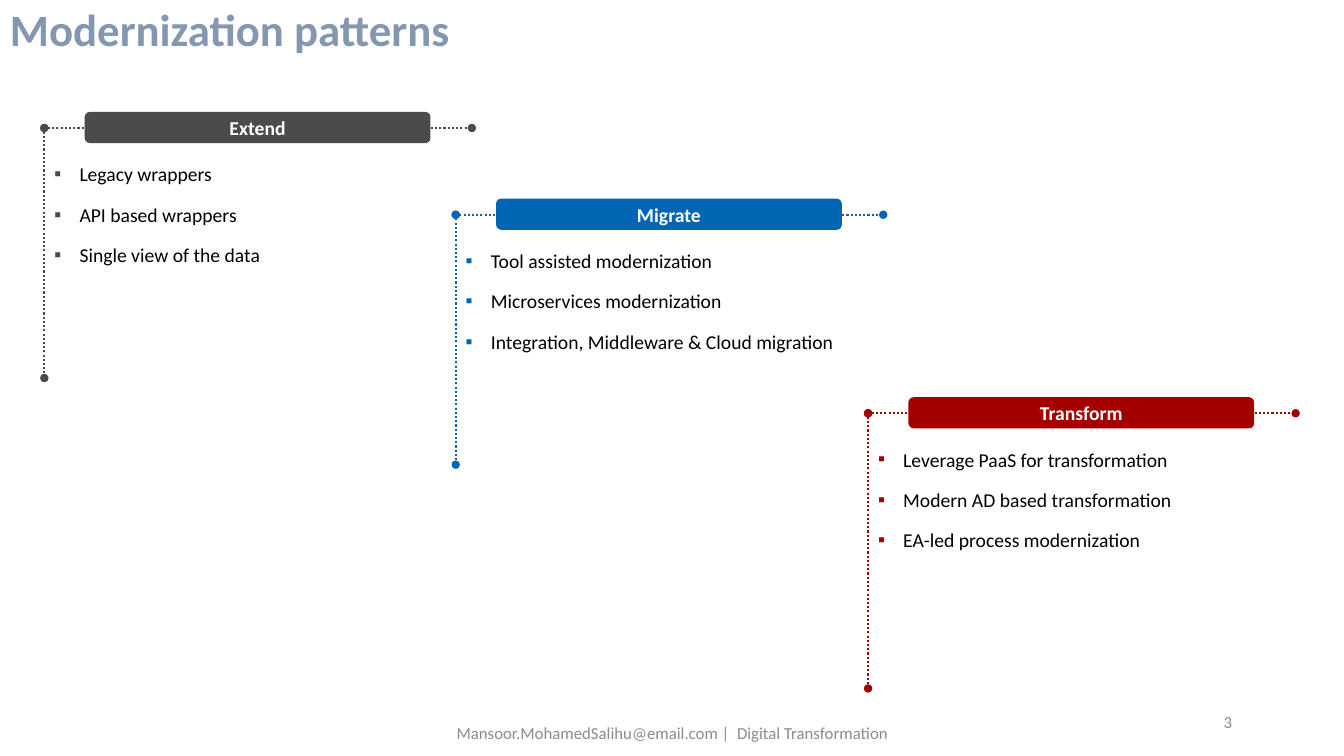
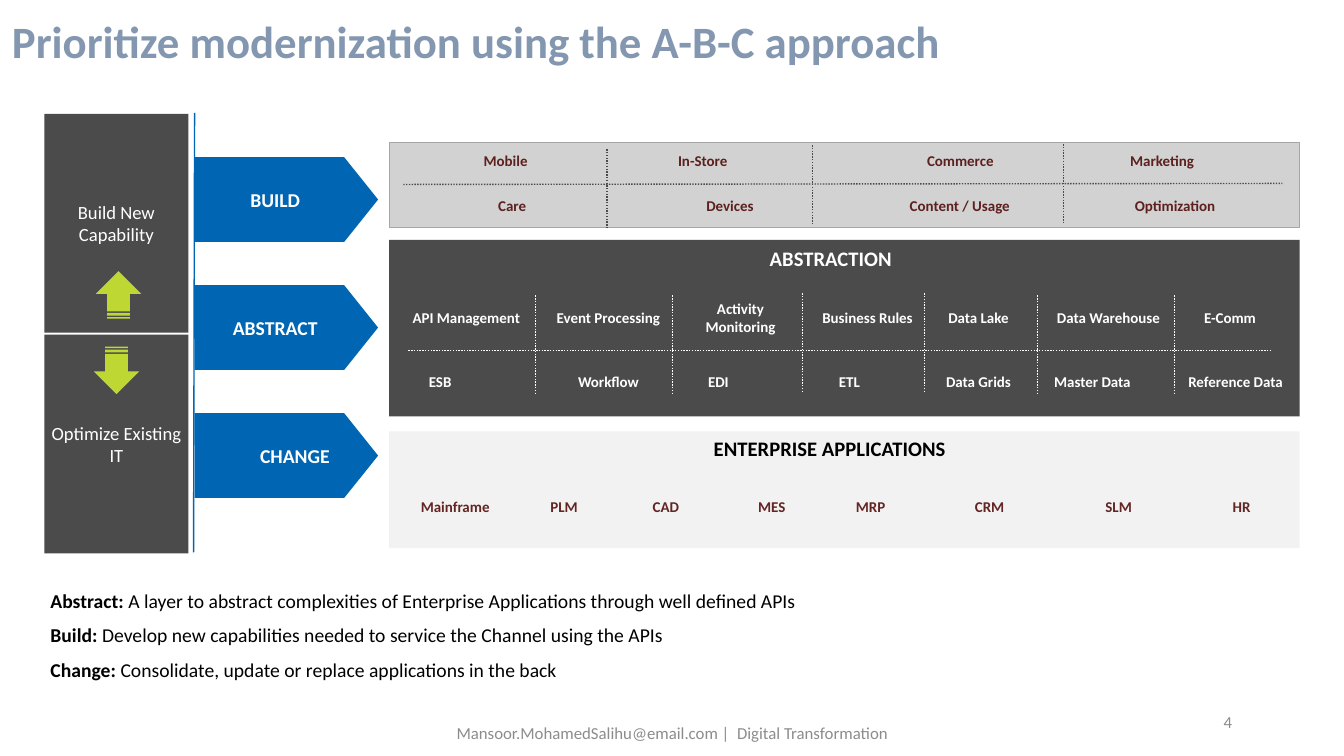
"""Build two slides on modernization patterns and the A-B-C approach."""
from lxml.etree import SubElement
from pptx import Presentation
from pptx.dml.color import RGBColor
from pptx.enum.dml import MSO_LINE
from pptx.enum.shapes import MSO_CONNECTOR, MSO_SHAPE as SHAPE
from pptx.enum.text import MSO_ANCHOR as ANCHOR, PP_ALIGN as ALIGN
from pptx.oxml.ns import qn
from pptx.util import Inches, Pt

FONT = "Calibri"
GRAY, BLUE, RED, LIME = "4B4B4B", "0066B3", "A30000", "BED732"
WHITE, BLACK, TITLE_COLOR, FOOTER_COLOR = "FFFFFF", "000000", "8497B0", "8C8C8C"
BROWN, MAROON = "5C211E", "632523"
FOOTER = "Mansoor.MohamedSalihu@email.com |  Digital Transformation"
LABEL_HEIGHT = 0.18

# heading, colour, left, top of the rule, length of the upright, items
PATTERNS = [
    ("Extend", GRAY, 0.44, 1.27, 2.48,
     ["Legacy wrappers", "API based wrappers", "Single view of the data"]),
    ("Transform", RED, 8.61, 4.1, 2.73,
     ["Leverage PaaS for transformation", "Modern AD based transformation",
      "EA-led process modernization"]),
    ("Migrate", BLUE, 4.52, 2.13, 2.48,
     ["Tool assisted modernization", "Microservices modernization",
      "Integration, Middleware & Cloud migration"]),
]

STEPS = [("BUILD", 2, 1.46), ("ABSTRACT", 2, 1.46), ("CHANGE", 1.98, 1.89)]
GOALS = [("Build New Capability", 1.13), ("Optimize Existing IT", 3.32)]
GOAL_ARROWS = [(0.94, 2.7, 270), (0.92, 3.45, 90)]
# top, height, fill, outline
LAYERS = [(1.41, 0.85, "D2D2D2", "A6A6A6"), (4.28, 1.16, "F2F2F2", None),
          (2.38, 1.75, GRAY, None)]
LAYER_HEADINGS = [("ENTERPRISE APPLICATIONS", 6.88, 4.28, 2.7, BLACK),
                  ("ABSTRACTION", 7.44, 2.39, 1.6, WHITE)]
# top, colour, then (label, left, width, lines if more than one)
LABEL_ROWS = [
    (1.5, BROWN, [("Mobile", 4.65, 0.73), ("In-Store", 6.55, 0.84),
                  ("Commerce", 8.58, 1.89), ("Marketing", 11.02, 1.01)]),
    (1.95, BROWN, [("Care", 4.69, 0.78), ("Devices", 6.62, 1.24),
                   ("Content / Usage", 8.64, 1.76), ("Optimization", 10.71, 1.89)]),
    (3.06, WHITE, [("API Management", 4, 1.25), ("Event Processing", 5.47, 1.13),
                   ("Activity Monitoring", 6.78, 1.13, 2), ("Business Rules", 8.1, 1.01),
                   ("Data Lake", 9.28, 0.85), ("Data Warehouse", 10.43, 1.13),
                   ("E-Comm", 11.75, 0.9)]),
    (3.69, WHITE, [("ESB", 4.07, 0.59), ("Workflow", 5.53, 1.01), ("EDI", 6.83, 0.59),
                   ("ETL", 8.13, 0.59), ("Data Grids", 9.28, 0.85),
                   ("Master Data", 10.41, 0.85), ("Reference Data", 11.75, 1.01)]),
    (4.93, MAROON, [("Mainframe", 4.05, 0.93), ("PLM", 5.17, 0.85), ("CAD", 6.18, 0.85),
                    ("MES", 7.23, 0.85), ("MRP", 8.21, 0.85), ("CRM", 9.39, 0.85),
                    ("SLM", 10.56, 1.07), ("HR", 11.83, 0.97)]),
]
# colour, horizontal (start, end), height of uprights, uprights (x, top)
DIVIDERS = [
    (GRAY, ((4, 1.83), (12.72, 1.82)), 0.78, [(6.02, 1.48), (8.06, 1.44), (10.55, 1.43)]),
    (WHITE, ((4.05, 3.48), (12.62, 3.48)), 0.98,
     [(5.31, 2.93), (6.67, 2.93), (7.96, 2.91), (9.17, 2.91), (10.29, 2.93), (11.65, 2.93)]),
]
DEFINITIONS = [
    ("Abstract: ", "A layer to abstract complexities of Enterprise Applications "
                   "through well defined APIs"),
    ("Build: ", "Develop new capabilities needed to service the Channel using the APIs"),
    ("Change: ", "Consolidate, update or replace applications in the back"),
]


def rgb(color):
    return RGBColor.from_string(color)


def set_frame(frame, insets, anchor):
    frame.word_wrap = True
    frame.vertical_anchor = anchor
    frame.margin_left = frame.margin_right = Inches(insets[0])
    frame.margin_top = frame.margin_bottom = Inches(insets[1])


def set_paragraph(paragraph, size, color, bold=None, align=ALIGN.LEFT, space=0):
    paragraph.alignment = align
    paragraph.space_before = paragraph.space_after = Pt(space)
    font = paragraph.font
    font.name, font.size, font.bold = FONT, Pt(size), bold
    font.color.rgb = rgb(color)


def set_indent(paragraph, left, first):
    properties = paragraph._p.get_or_add_pPr()
    properties.set("marL", str(Inches(left)))
    properties.set("indent", str(Inches(first)))
    return properties


def add_text(slide, box, text, size, color, bold=None, align=ALIGN.CENTER,
             insets=(0, 0), anchor=ANCHOR.MIDDLE):
    frame = slide.shapes.add_textbox(*map(Inches, box)).text_frame
    set_frame(frame, insets, anchor)
    paragraph = frame.paragraphs[0]
    paragraph.text = text
    set_paragraph(paragraph, size, color, bold, align)
    return paragraph


def add_list(slide, box, items, inset, space):
    """Add a text box with one paragraph per item and return the paragraphs."""
    frame = slide.shapes.add_textbox(*map(Inches, box)).text_frame
    set_frame(frame, (inset, inset), ANCHOR.TOP)
    for index, parts in enumerate(items):
        paragraph = frame.add_paragraph() if index else frame.paragraphs[0]
        for part in parts:
            paragraph.add_run().text = part
        set_paragraph(paragraph, 14, BLACK, space=space)
    return frame.paragraphs


def add_block(slide, kind, box, fill, outline=None, text="", size=14, bold=None, inset=0):
    block = slide.shapes.add_shape(kind, *map(Inches, box))
    block.shadow.inherit = False
    block.fill.solid()
    block.fill.fore_color.rgb = rgb(fill)
    if outline:
        block.line.color.rgb = rgb(outline)
        block.line.width = Pt(0.75)
    else:
        block.line.fill.background()
    if text:
        set_frame(block.text_frame, (inset, inset), ANCHOR.MIDDLE)
        paragraph = block.text_frame.paragraphs[0]
        paragraph.text = text
        set_paragraph(paragraph, size, WHITE, bold, ALIGN.CENTER)
    return block


def add_line(slide, start, end, color, width=1, dotted=True, dots_at_ends=False):
    rule = slide.shapes.add_connector(MSO_CONNECTOR.STRAIGHT, *map(Inches, (*start, *end)))
    rule.line.color.rgb = rgb(color)
    rule.line.width = Pt(width)
    if dotted:
        rule.line.dash_style = MSO_LINE.ROUND_DOT
    if dots_at_ends:
        for tag in ("a:headEnd", "a:tailEnd"):
            SubElement(rule.line._get_or_add_ln(), qn(tag), type="oval")
    SubElement(rule._element.spPr, qn("a:effectLst"))


def add_slide(deck, title, title_box, number):
    slide = deck.slides.add_slide(deck.slide_layouts[6])
    heading = add_text(slide, title_box, title, 32, TITLE_COLOR, True, ALIGN.LEFT, (0.1, 0.05))
    heading.line_spacing = 0.9
    add_text(slide, (4.42, 7.07, 4.5, 0.4), FOOTER, 12, FOOTER_COLOR, insets=(0.1, 0.05))
    add_text(slide, (9.32, 6.96, 3, 0.4), str(number), 12, FOOTER_COLOR,
             align=ALIGN.RIGHT, insets=(0.1, 0.05))
    return slide


def add_pattern(slide, heading, color, left, top, length, items):
    bullets = add_list(slide, (left, top + 0.24, 4.29, 1.25), [[item] for item in items], 0.1, 6)
    for bullet in bullets:
        properties = set_indent(bullet, 0.25, -0.25)
        SubElement(SubElement(properties, qn("a:buClr")), qn("a:srgbClr"), val=color)
        SubElement(properties, qn("a:buFont"), typeface=FONT)
        SubElement(properties, qn("a:buChar"), char="▪")
    for end in ((left + 4.24, top), (left, top + length)):
        add_line(slide, (left, top), end, color, 1.5, dots_at_ends=True)
    add_block(slide, SHAPE.ROUNDED_RECTANGLE, (left + 0.4, top - 0.16, 3.43, 0.31), color,
              text=heading, bold=True, inset=0.05)


def build_patterns(deck):
    slide = add_slide(deck, "Modernization patterns", (0, 0, 11.5, 0.64), 3)
    for pattern in PATTERNS:
        add_pattern(slide, *pattern)


def build_approach(deck):
    slide = add_slide(deck, "Prioritize modernization using the A-B-C approach",
                      (0.02, -0.01, 13.31, 0.9), 4)
    definitions = add_list(slide, (0.44, 5.79, 12.44, 1.04), DEFINITIONS, 0.05, 4)
    for definition in definitions:
        set_indent(definition, 2.42, -2.41)
        definition.runs[0].font.bold = True

    add_line(slide, (1.93, 1.12), (1.92, 5.48), BLUE, dotted=False)
    for index, (step, left, width) in enumerate(STEPS):
        top = 1.56 + index * 1.27
        arrow = add_block(slide, SHAPE.RIGHT_ARROW, (1.93, top, 1.82, 0.84), BLUE)
        arrow.adjustments[0], arrow.adjustments[1] = 1, 0.4
        add_text(slide, (left, top + 0.3, width, 0.24), step, 14, WHITE, True)

    for top, height, fill, outline in LAYERS:
        add_block(slide, SHAPE.RECTANGLE, (3.86, top, 9.03, height), fill, outline)
    for heading, left, top, width, color in LAYER_HEADINGS:
        add_text(slide, (left, top, width, 0.35), heading, 14.7, color, True,
                 insets=(0.07, 0.05), anchor=ANCHOR.TOP)
    for top, color, labels in LABEL_ROWS:
        for label, left, width, *lines in labels:
            height = LABEL_HEIGHT * (lines[0] if lines else 1)
            label_top = top - (height - LABEL_HEIGHT) / 2
            add_text(slide, (left, label_top, width, height), label, 10.7, color, True)
    for color, (start, end), height, uprights in DIVIDERS:
        add_line(slide, start, end, color)
        for x, top in uprights:
            add_line(slide, (x, top), (x, top + height), color)

    for goal, top in GOALS:
        add_block(slide, SHAPE.RECTANGLE, (0.44, top, 1.43, 2.17), GRAY, text=goal, size=13.3)
    for left, top, rotation in GOAL_ARROWS:
        arrow = add_block(slide, SHAPE.STRIPED_RIGHT_ARROW, (left, top, 0.47, 0.45), LIME)
        arrow.rotation = rotation


def main():
    deck = Presentation()
    deck.slide_width, deck.slide_height = Inches(13.33), Inches(7.5)
    build_patterns(deck)
    build_approach(deck)
    deck.save("out.pptx")


if __name__ == "__main__":
    main()
